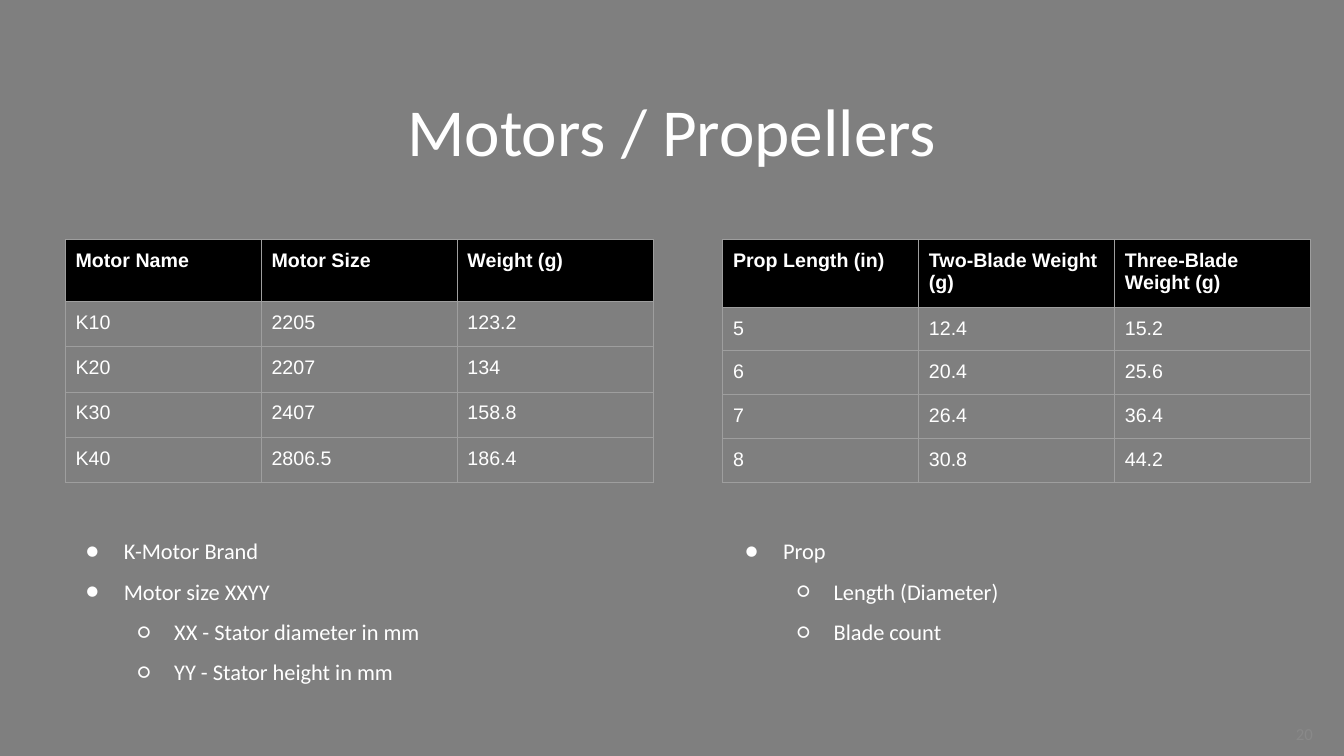
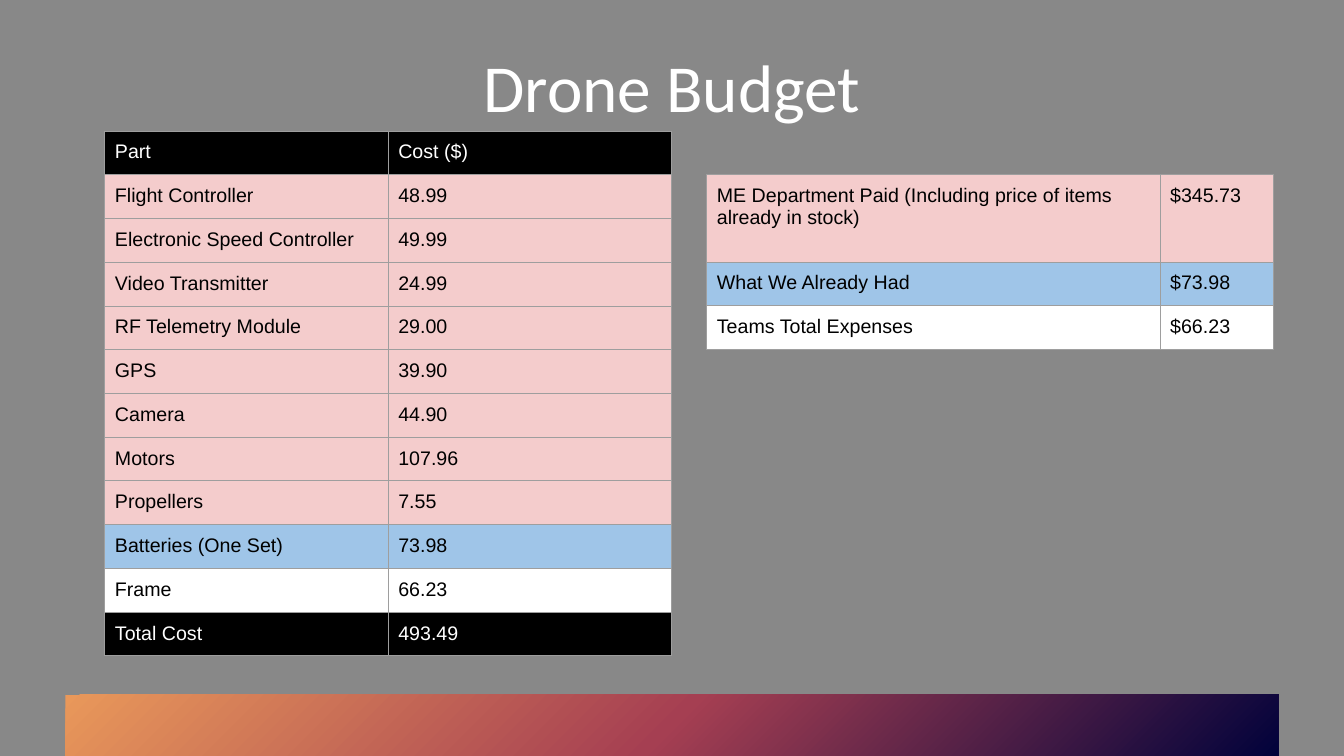
from dataclasses import dataclass

from pptx import Presentation
from pptx.dml.color import RGBColor
from pptx.enum.shapes import MSO_SHAPE
from pptx.enum.text import MSO_ANCHOR, PP_ALIGN
from pptx.oxml import parse_xml
from pptx.oxml.ns import nsdecls
from pptx.slide import Slide
from pptx.table import _Cell
from pptx.text.text import TextFrame, _Paragraph
from pptx.util import Inches, Pt

SLIDE_W, SLIDE_H = 13.33, 7.5
MARGIN = 0.65
CONTENT_W = SLIDE_W - 2 * MARGIN
INSET = 0.1
ROW = 5.2 / 12  # height of one budget row

WHITE = RGBColor(0xFF, 0xFF, 0xFF)
BLACK = RGBColor(0x00, 0x00, 0x00)
PINK = RGBColor(0xF4, 0xCC, 0xCC)
BLUE = RGBColor(0x9F, 0xC5, 0xE8)
BORDER = RGBColor(0x9E, 0x9E, 0x9E)
NUMBER_GREY = RGBColor(0x89, 0x89, 0x89)
PARTS_BACKGROUND = RGBColor(0x7F, 0x7F, 0x7F)
BUDGET_BACKGROUND = RGBColor(0x88, 0x88, 0x88)
BAND_STOPS = (
    (0, RGBColor(0x01, 0x02, 0x3B)),
    (50, RGBColor(0xA5, 0x3F, 0x52)),
    (100, RGBColor(0xE9, 0x98, 0x5A)),
)

HEADING_FONT = "Calibri"
TABLE_FONT = "Arial"


@dataclass(frozen=True)
class Row:
    cells: tuple[str, ...]
    fill: RGBColor | None = None
    color: RGBColor = WHITE
    bold: bool = False
    height: float = ROW


@dataclass(frozen=True)
class Grid:
    left: float
    top: float
    width: float
    shares: tuple[float, ...]
    rows: tuple[Row, ...]


@dataclass(frozen=True)
class Bullet:
    text: str
    level: int = 0


@dataclass(frozen=True)
class BulletStyle:
    char: str
    margin: float
    hanging: float


BULLET_STYLES = (BulletStyle("●", 0.5, 0.38), BulletStyle("○", 1.0, 0.36))

# Motors and propellers: two equal halves
HALF_W = 5.83
RIGHT_HALF = SLIDE_W - 0.33 - HALF_W
SPECS_TOP, NOTES_TOP = 2.38, 5.1
THIRDS = (1 / 3,) * 3


def spec_grid(left: float, header_h: float, row_h: float,
              header: tuple[str, ...], *records: tuple[str, ...]) -> Grid:
    """Describe a table with a black heading and unfilled records."""
    heading = Row(header, BLACK, bold=True, height=header_h)
    body = tuple(Row(record, height=row_h) for record in records)
    return Grid(left, SPECS_TOP, HALF_W, THIRDS, (heading, *body))


MOTORS = spec_grid(
    MARGIN, 0.61, 0.45,
    ("Motor Name", "Motor Size", "Weight (g)"),
    ("K10", "2205", "123.2"),
    ("K20", "2207", "134"),
    ("K30", "2407", "158.8"),
    ("K40", "2806.5", "186.4"),
)
PROPELLERS = spec_grid(
    RIGHT_HALF, ROW, ROW,
    ("Prop Length (in)", "Two-Blade Weight (g)", "Three-Blade Weight (g)"),
    ("5", "12.4", "15.2"),
    ("6", "20.4", "25.6"),
    ("7", "26.4", "36.4"),
    ("8", "30.8", "44.2"),
)
MOTOR_NOTES = (
    Bullet("K-Motor Brand"),
    Bullet("Motor size XXYY"),
    Bullet("XX - Stator diameter in mm", 1),
    Bullet("YY - Stator height in mm", 1),
)
PROPELLER_NOTES = (
    Bullet("Prop"),
    Bullet("Length (Diameter)", 1),
    Bullet("Blade count", 1),
)

# Budget
BUDGET_LEFT, BUDGET_TOP, BUDGET_W, BUDGET_GAP = 1.04, 1.3, 5.62, 0.35
DEPARTMENT_PAID = (
    ("Flight Controller", "48.99"),
    ("Electronic Speed Controller", "49.99"),
    ("Video Transmitter", "24.99"),
    ("RF Telemetry Module", "29.00"),
    ("GPS", "39.90"),
    ("Camera", "44.90"),
    ("Motors", "107.96"),
    ("Propellers", "7.55"),
)
COSTS = Grid(BUDGET_LEFT, BUDGET_TOP, BUDGET_W, (0.5, 0.5), (
    Row(("Part", "Cost ($)"), BLACK),
    *(Row(item, PINK, BLACK) for item in DEPARTMENT_PAID),
    Row(("Batteries (One Set)", "73.98"), BLUE, BLACK),
    Row(("Frame", "66.23"), WHITE, BLACK),
    Row(("Total Cost", "493.49"), BLACK),
))
PAYERS = Grid(
    BUDGET_LEFT + BUDGET_W + BUDGET_GAP, BUDGET_TOP + ROW, BUDGET_W, (0.8, 0.2), (
        Row(("ME Department Paid (Including price of items already in stock)",
             "$345.73"), PINK, BLACK, height=2 * ROW),
        Row(("What We Already Had", "$73.98"), BLUE, BLACK),
        Row(("Teams Total Expenses", "$66.23"), WHITE, BLACK),
    ))


def format_runs(paragraph: _Paragraph, font: str, size: float,
                color: RGBColor, bold: bool = False) -> None:
    for run in paragraph.runs:
        run.font.name = font
        run.font.size = Pt(size)
        run.font.bold = bold
        run.font.color.rgb = color


def add_text_frame(slide: Slide, left: float, top: float,
                   width: float, height: float) -> TextFrame:
    frame = slide.shapes.add_textbox(
        Inches(left), Inches(top), Inches(width), Inches(height)).text_frame
    frame.word_wrap = True
    return frame


def add_line(slide: Slide, text: str, box: tuple[float, float, float, float],
             size: float, color: RGBColor, align: PP_ALIGN) -> None:
    """Add one vertically centred line of text."""
    frame = add_text_frame(slide, *box)
    frame.vertical_anchor = MSO_ANCHOR.MIDDLE
    frame.text = text
    frame.paragraphs[0].alignment = align
    format_runs(frame.paragraphs[0], HEADING_FONT, size, color)


def add_titled_slide(deck: Presentation, title: str, title_top: float,
                     background: RGBColor) -> Slide:
    slide = deck.slides.add_slide(deck.slide_layouts[6])
    slide.background.fill.solid()
    slide.background.fill.fore_color.rgb = background
    add_line(slide, title, (MARGIN, title_top, CONTENT_W, 0.9),
             48, WHITE, PP_ALIGN.CENTER)
    return slide


def set_borders(cell: _Cell) -> None:
    properties = cell._tc.get_or_add_tcPr()
    for position, side in enumerate("LRTB"):
        properties.insert(position, parse_xml(
            f'<a:ln{side} {nsdecls("a")} w="{Pt(0.75)}"><a:solidFill>'
            f'<a:srgbClr val="{BORDER}"/></a:solidFill></a:ln{side}>'))


def fill_cell(cell: _Cell, text: str, row: Row) -> None:
    cell.margin_left = cell.margin_right = Inches(INSET)
    cell.margin_top = cell.margin_bottom = Inches(INSET)
    if row.fill is None:
        cell.fill.background()
    else:
        cell.fill.solid()
        cell.fill.fore_color.rgb = row.fill
    set_borders(cell)
    cell.text_frame.text = text
    format_runs(cell.text_frame.paragraphs[0], TABLE_FONT, 14, row.color, row.bold)


def add_grid(slide: Slide, grid: Grid) -> None:
    height = sum(row.height for row in grid.rows)
    table = slide.shapes.add_table(
        len(grid.rows), len(grid.shares), Inches(grid.left), Inches(grid.top),
        Inches(grid.width), Inches(height)).table
    table.first_row = table.horz_banding = False
    for column, share in zip(table.columns, grid.shares):
        column.width = Inches(grid.width * share)
    for table_row, row in zip(table.rows, grid.rows):
        table_row.height = Inches(row.height)
        for cell, text in zip(table_row.cells, row.cells):
            fill_cell(cell, text, row)


def add_bullets(slide: Slide, left: float, bullets: tuple[Bullet, ...]) -> None:
    frame = add_text_frame(slide, left, NOTES_TOP, HALF_W, 2.33)
    frame.margin_top = frame.margin_bottom = Inches(INSET)
    for index, bullet in enumerate(bullets):
        paragraph = frame.add_paragraph() if index else frame.paragraphs[0]
        paragraph.text = bullet.text
        paragraph.level = bullet.level
        style = BULLET_STYLES[bullet.level]
        properties = paragraph._p.get_or_add_pPr()
        properties.set("marL", str(Inches(style.margin)))
        properties.set("indent", str(-Inches(style.hanging)))
        for element in (
            f'<a:buClr {nsdecls("a")}><a:srgbClr val="{WHITE}"/></a:buClr>',
            f'<a:buFont {nsdecls("a")} typeface="{HEADING_FONT}"/>',
            f'<a:buChar {nsdecls("a")} char="{style.char}"/>',
        ):
            properties.append(parse_xml(element))
        paragraph.line_spacing = 1.5
        format_runs(paragraph, HEADING_FONT, 16, WHITE)


def add_gradient_band(slide: Slide) -> None:
    """Add the bottom band, shaded outward from its lower right corner."""
    height = 0.61
    band = slide.shapes.add_shape(
        MSO_SHAPE.RECTANGLE, Inches(MARGIN), Inches(SLIDE_H - height),
        Inches(CONTENT_W), Inches(height))
    band.shadow.inherit = False
    band.line.fill.background()
    band.fill.background()
    stops = "".join(
        f'<a:gs pos="{share * 1000}"><a:srgbClr val="{color}"/></a:gs>'
        for share, color in BAND_STOPS)
    gradient = parse_xml(
        f'<a:gradFill {nsdecls("a")}><a:gsLst>{stops}</a:gsLst>'
        '<a:path path="circle"><a:fillToRect l="100000" t="100000"/></a:path>'
        '<a:tileRect r="-100000" b="-100000"/></a:gradFill>')
    properties = band._element.spPr
    properties.replace(properties.find("{*}noFill"), gradient)


def build_parts_slide(deck: Presentation) -> None:
    slide = add_titled_slide(deck, "Motors / Propellers", 0.84, PARTS_BACKGROUND)
    add_grid(slide, PROPELLERS)
    add_grid(slide, MOTORS)
    add_bullets(slide, MARGIN - 0.02, MOTOR_NOTES)
    add_bullets(slide, RIGHT_HALF, PROPELLER_NOTES)
    add_line(slide, "20", (12.32, 7.08, 0.8, 0.4), 12, NUMBER_GREY, PP_ALIGN.RIGHT)


def build_budget_slide(deck: Presentation) -> None:
    slide = add_titled_slide(deck, "Drone Budget", 0.4, BUDGET_BACKGROUND)
    add_gradient_band(slide)
    add_grid(slide, COSTS)
    add_grid(slide, PAYERS)


def main() -> None:
    deck = Presentation()
    deck.slide_width = Inches(SLIDE_W)
    deck.slide_height = Inches(SLIDE_H)
    build_parts_slide(deck)
    build_budget_slide(deck)
    deck.save("out.pptx")


if __name__ == "__main__":
    main()
